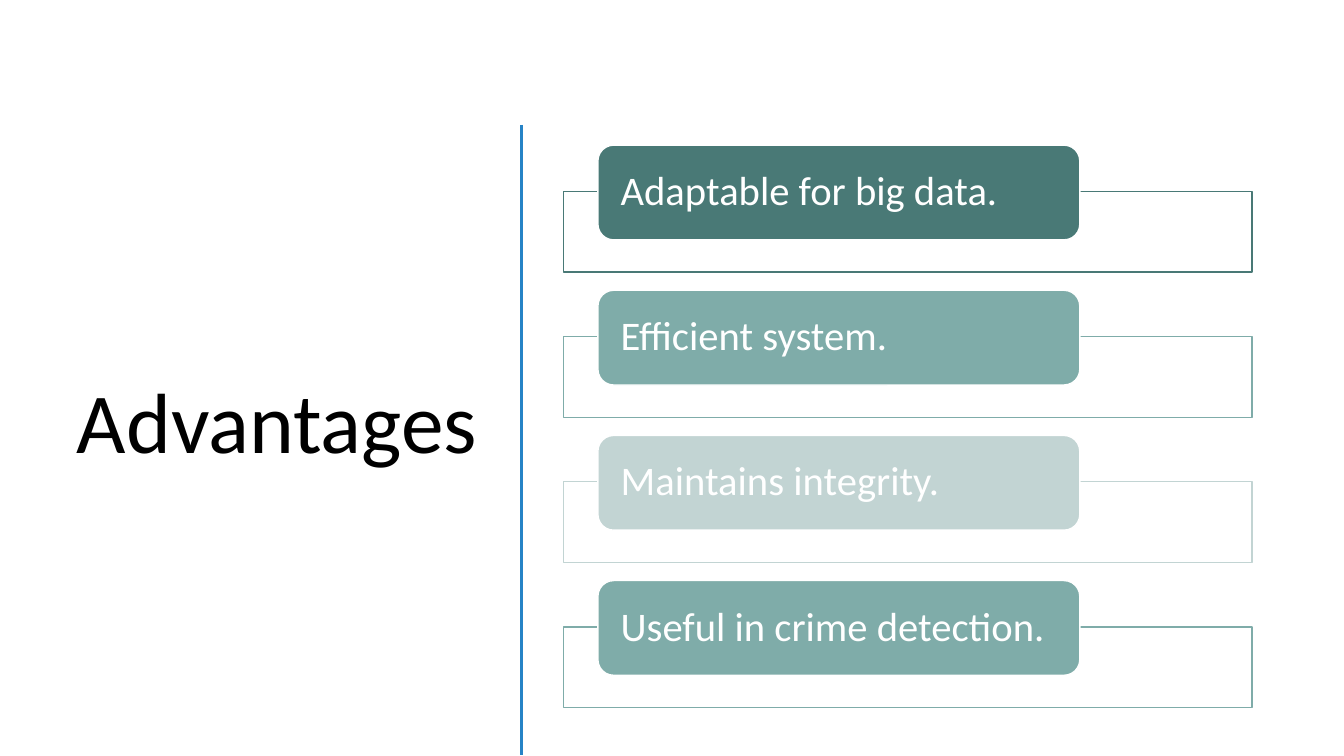
from dataclasses import dataclass

from lxml.etree import SubElement
from pptx import Presentation
from pptx.dml.color import RGBColor
from pptx.enum.shapes import MSO_CONNECTOR, MSO_SHAPE
from pptx.enum.text import MSO_ANCHOR, PP_ALIGN
from pptx.oxml.ns import qn
from pptx.shapes.autoshape import Shape
from pptx.slide import Slide
from pptx.util import Emu, Pt

EMU_PER_PX = 9144
WHITE = "FFFFFF"
FIRST_TOP = 144
PITCH = 144


@dataclass(frozen=True)
class Advantage:
    label: str
    colour: str


ADVANTAGES = [
    Advantage("Adaptable for big data.", "497976"),
    Advantage("Efficient system.", "7FACA9"),
    Advantage("Maintains integrity.", "C2D4D3"),
    Advantage("Useful in crime detection.", "7FACA9"),
]


def px(length: int) -> Emu:
    return Emu(length * EMU_PER_PX)


def rgb(colour: str) -> RGBColor:
    return RGBColor.from_string(colour)


def write(shape: Shape, text: str, *, size: int, colour: str,
          align: PP_ALIGN = PP_ALIGN.LEFT, side: int = 10, edge: int = 5) -> None:
    frame = shape.text_frame
    frame.word_wrap = True
    frame.vertical_anchor = MSO_ANCHOR.MIDDLE
    frame.margin_left = frame.margin_right = px(side)
    frame.margin_top = frame.margin_bottom = px(edge)
    paragraph = frame.paragraphs[0]
    paragraph.alignment = align
    paragraph.line_spacing = 0.9
    run = paragraph.add_run()
    run.text = text
    run.font.name = "Calibri"
    run.font.size = Pt(size)
    run.font.color.rgb = rgb(colour)


def add_panel(slide: Slide, kind: MSO_SHAPE, left: int, top: int, width: int,
              height: int, fill: str, line: str) -> Shape:
    panel = slide.shapes.add_shape(kind, px(left), px(top), px(width), px(height))
    panel.shadow.inherit = False
    panel.fill.solid()
    panel.fill.fore_color.rgb = rgb(fill)
    panel.line.color.rgb = rgb(line)
    panel.line.width = Pt(1)
    return panel


def add_divider(slide: Slide) -> None:
    divider = slide.shapes.add_connector(
        MSO_CONNECTOR.STRAIGHT, px(517), px(124), px(517), px(749))
    divider.line.color.rgb = rgb("2683C6")
    divider.line.width = Pt(2)
    SubElement(divider.element.spPr, qn("a:effectLst"))


def add_advantage(slide: Slide, advantage: Advantage, top: int) -> None:
    add_panel(slide, MSO_SHAPE.RECTANGLE, 559, top + 46, 683, 80,
              WHITE, advantage.colour)
    tab = add_panel(slide, MSO_SHAPE.ROUNDED_RECTANGLE, 593, top, 478, 94,
                    advantage.colour, WHITE)
    write(tab, advantage.label, size=29, colour=WHITE, side=18, edge=0)


def main() -> None:
    deck = Presentation()
    deck.slide_width, deck.slide_height = px(1333), px(750)
    slide = deck.slides.add_slide(deck.slide_layouts[6])
    heading = slide.shapes.add_textbox(px(52), px(117), px(431), px(611))
    write(heading, "Advantages", size=61, colour="000000", align=PP_ALIGN.RIGHT)
    add_divider(slide)
    for row, advantage in enumerate(ADVANTAGES):
        add_advantage(slide, advantage, FIRST_TOP + row * PITCH)
    deck.save("out.pptx")


if __name__ == "__main__":
    main()
